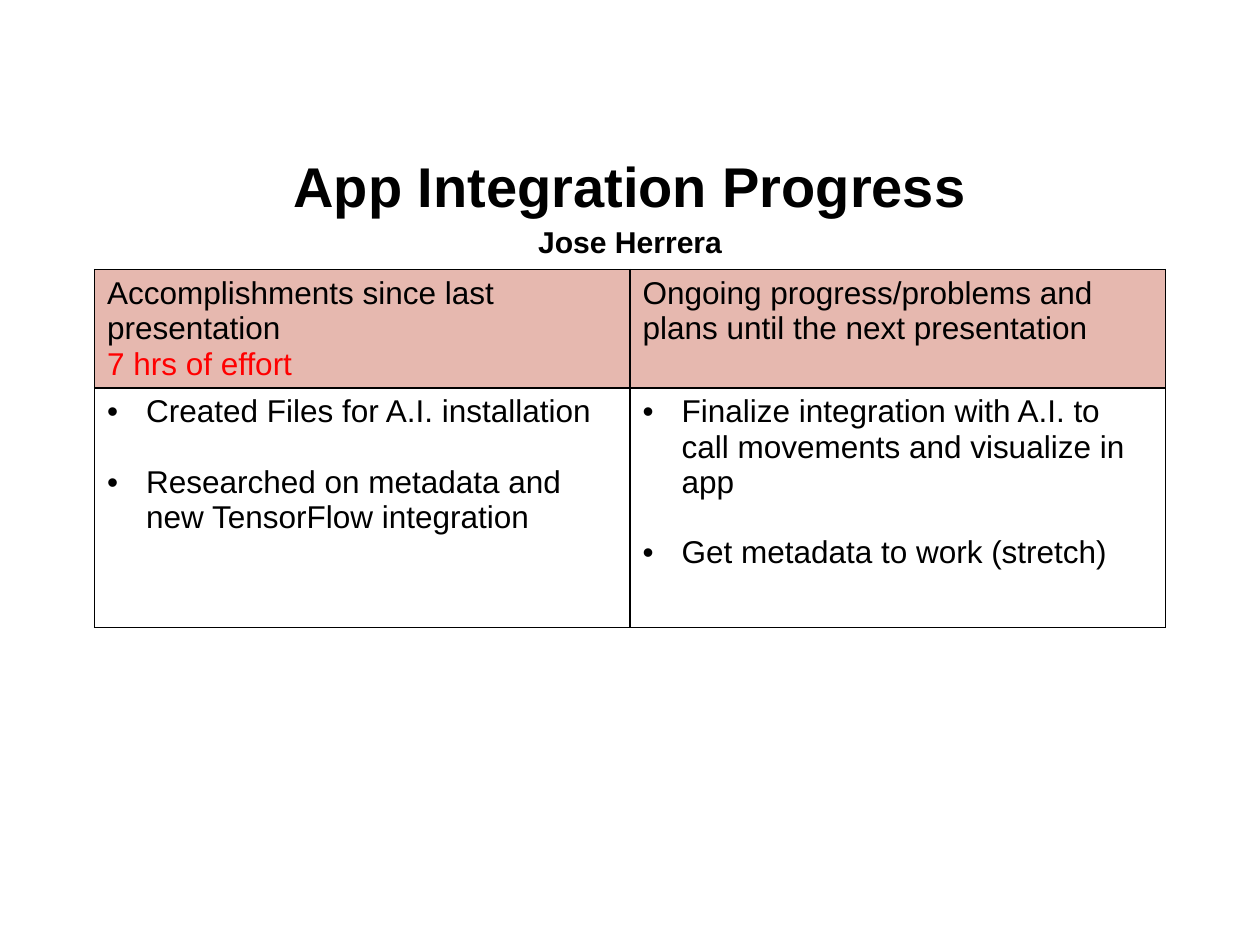
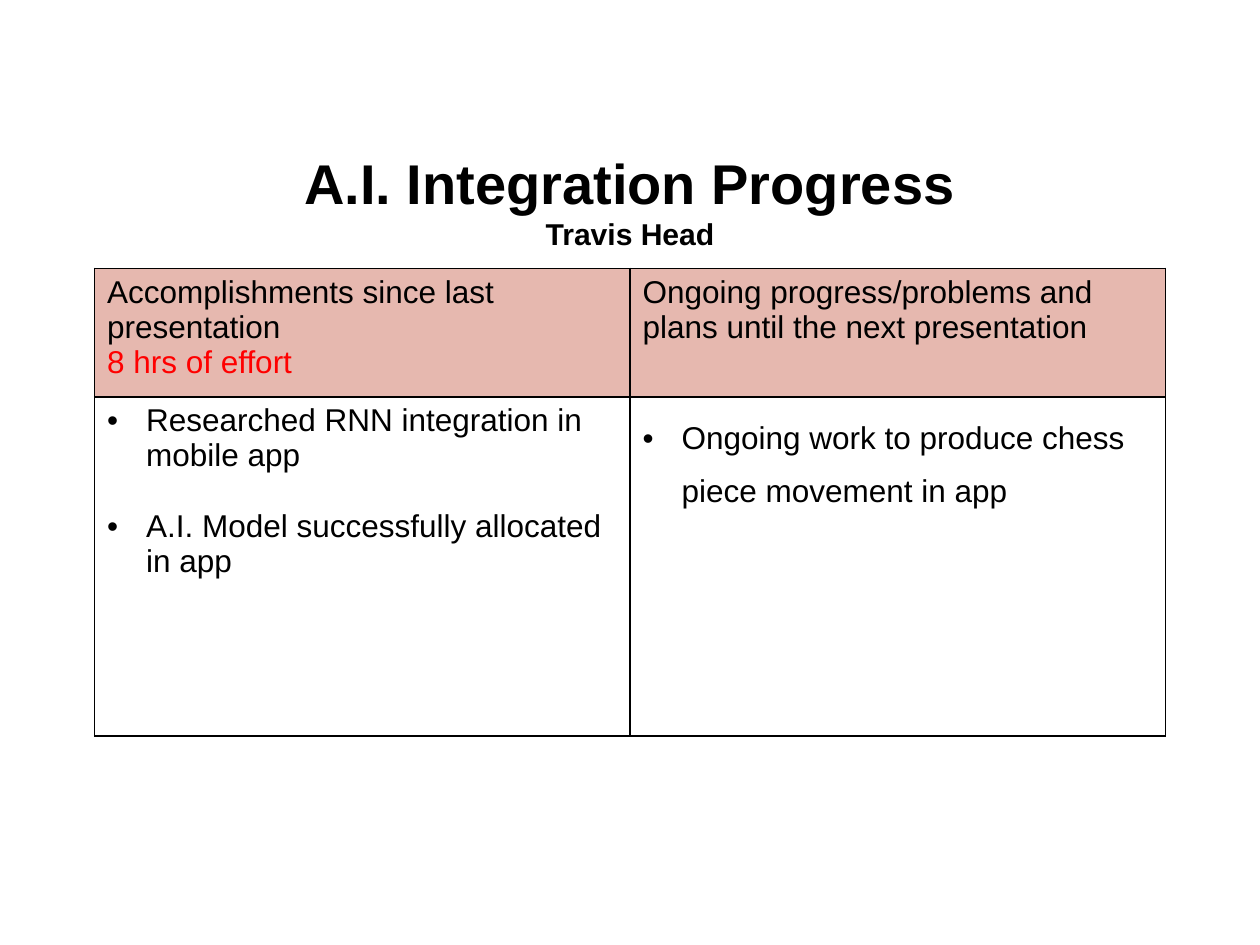
from pptx import Presentation
from pptx.dml.color import RGBColor as Rgb
from pptx.enum.text import MSO_ANCHOR as Anchor, MSO_AUTO_SIZE as Fit, PP_ALIGN as Align
from pptx.oxml.ns import qn
from pptx.util import Inches, Pt
from lxml.etree import SubElement as Sub

COLORS = {"text": "000000", "effort": "FF0000", "head": "E6B8AF", "line": "000000"}
FONT = "Arial"
TITLE_ONLY = 5
HEADS = ("Accomplishments since last presentation",
         "Ongoing progress/problems and plans until the next presentation")


class Deck:
    def __init__(self):
        self.prs = Presentation()
        self.prs.slide_width, self.prs.slide_height = Inches(10), Inches(7.5)
        self.slide = None

    def add_slide(self):
        self.slide = self.prs.slides.add_slide(self.prs.slide_layouts[TITLE_ONLY])

    def style(self, para, size, color="text", bold=False):
        font = para.font
        font.name, font.size, font.bold = FONT, Pt(size), bold
        font.color.rgb = Rgb.from_string(COLORS[color])

    def add_title(self, title, name, spacing):
        box = self.slide.shapes.title
        box.left, box.top = Inches(0.5), Inches(1.15)
        box.width, box.height = Inches(9), Inches(0.88)
        frame = box.text_frame
        frame.auto_size, frame.vertical_anchor = Fit.NONE, Anchor.MIDDLE
        frame.text = f"{title}\n{name}"
        for para, size in zip(frame.paragraphs, (32, 17.2)):
            para.alignment, para.line_spacing = Align.CENTER, spacing
            self.style(para, size, bold=True)

    def add_border(self, cell):
        props = cell._tc.get_or_add_tcPr()
        for side in ("lnL", "lnR", "lnT", "lnB"):
            line = Sub(props, qn(f"a:{side}"), w=str(Pt(1)))
            Sub(Sub(line, qn("a:solidFill")), qn("a:srgbClr"), val=COLORS["line"])

    def add_bullet(self, para):
        props = para._p.get_or_add_pPr()
        props.set("marL", str(Inches(0.31)))
        props.set("indent", str(-Inches(0.31)))
        Sub(props, qn("a:buFont"), typeface=FONT)
        Sub(props, qn("a:buChar"), char="•")

    def fill_head(self, cell, lines):
        cell.fill.solid()
        cell.fill.fore_color.rgb = Rgb.from_string(COLORS["head"])
        cell.text = "\n".join(lines)
        for para, color in zip(cell.text_frame.paragraphs, ("text", "effort")):
            self.style(para, 18, color)

    def fill_list(self, cell, items, spacing):
        cell.fill.background()
        cell.text = "\n".join(items)
        for i, para in enumerate(cell.text_frame.paragraphs):
            self.add_bullet(para)
            para.line_spacing = spacing
            if i:
                para.space_before = Pt(20)
            self.style(para, 18)

    def add_report(self, top, rows, effort, lists, spacings):
        """Add the two-column table of work done and work planned."""
        frame = self.slide.shapes.add_table(
            2, 2, Inches(0.75), Inches(top), Inches(8.5), Inches(sum(rows)))
        table = frame.table
        table.first_row = table.horz_banding = False
        for row, height in zip(table.rows, rows):
            row.height = Inches(height)
        for cell in table.iter_cells():
            self.add_border(cell)
        heads = ([HEADS[0], effort], [HEADS[1]])
        for col, (head, items, spacing) in enumerate(zip(heads, lists, spacings)):
            self.fill_head(table.cell(0, col), head)
            self.fill_list(table.cell(1, col), items, spacing)


def main():
    deck = Deck()

    deck.add_slide()
    deck.add_title("App Integration Progress", "Jose Herrera", 1.15)
    deck.add_report(
        2.14, (0.94, 1.9), "7 hrs of effort",
        (["Created Files for A.I. installation",
          "Researched on metadata and new TensorFlow integration"],
         ["Finalize integration with A.I. to call movements and visualize in app",
          "Get metadata to work (stretch)"]),
        (1.0, 1.0))

    deck.add_slide()
    deck.add_title("A.I. Integration Progress", "Travis Head", 1.0)
    deck.add_report(
        2.13, (1.02, 2.69), "8 hrs of effort",
        (["Researched RNN integration in mobile app",
          "A.I. Model successfully allocated in app"],
         ["Ongoing work to produce chess piece movement in app"]),
        (1.0, 1.5))

    deck.prs.save("out.pptx")


if __name__ == "__main__":
    main()
